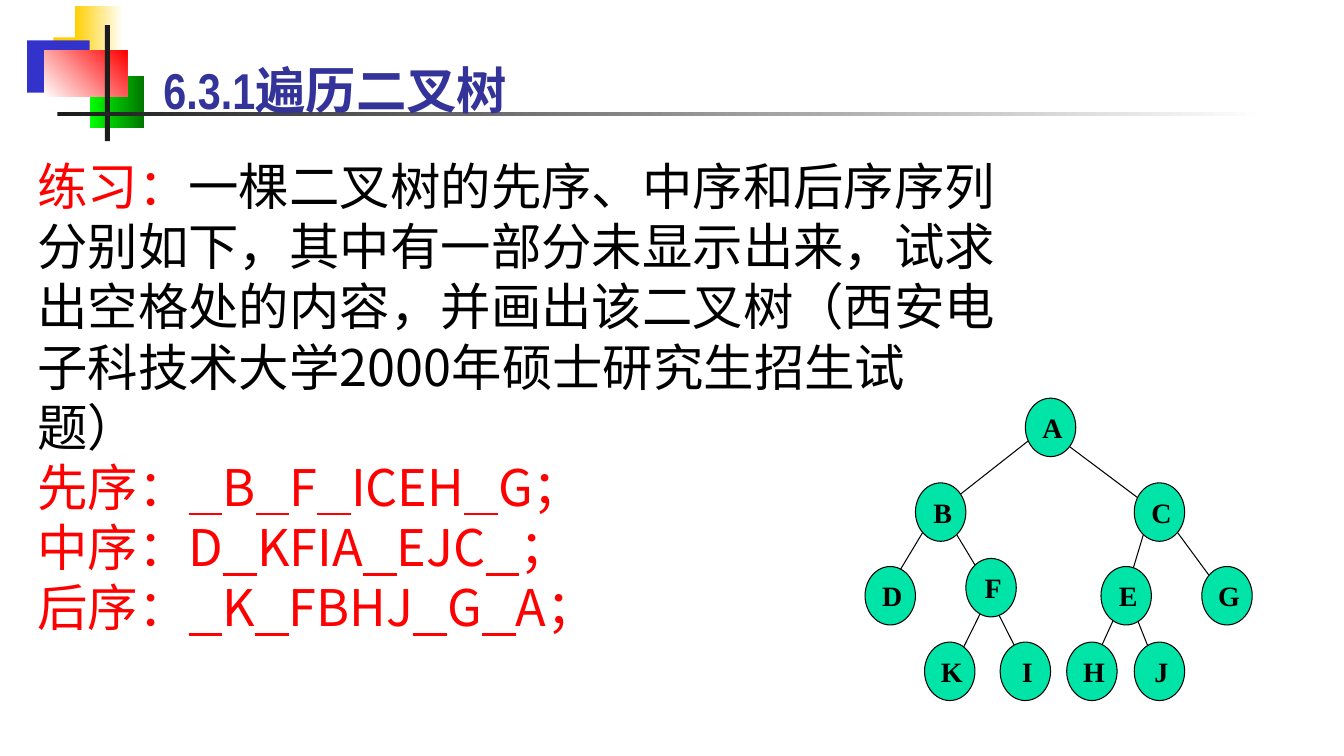
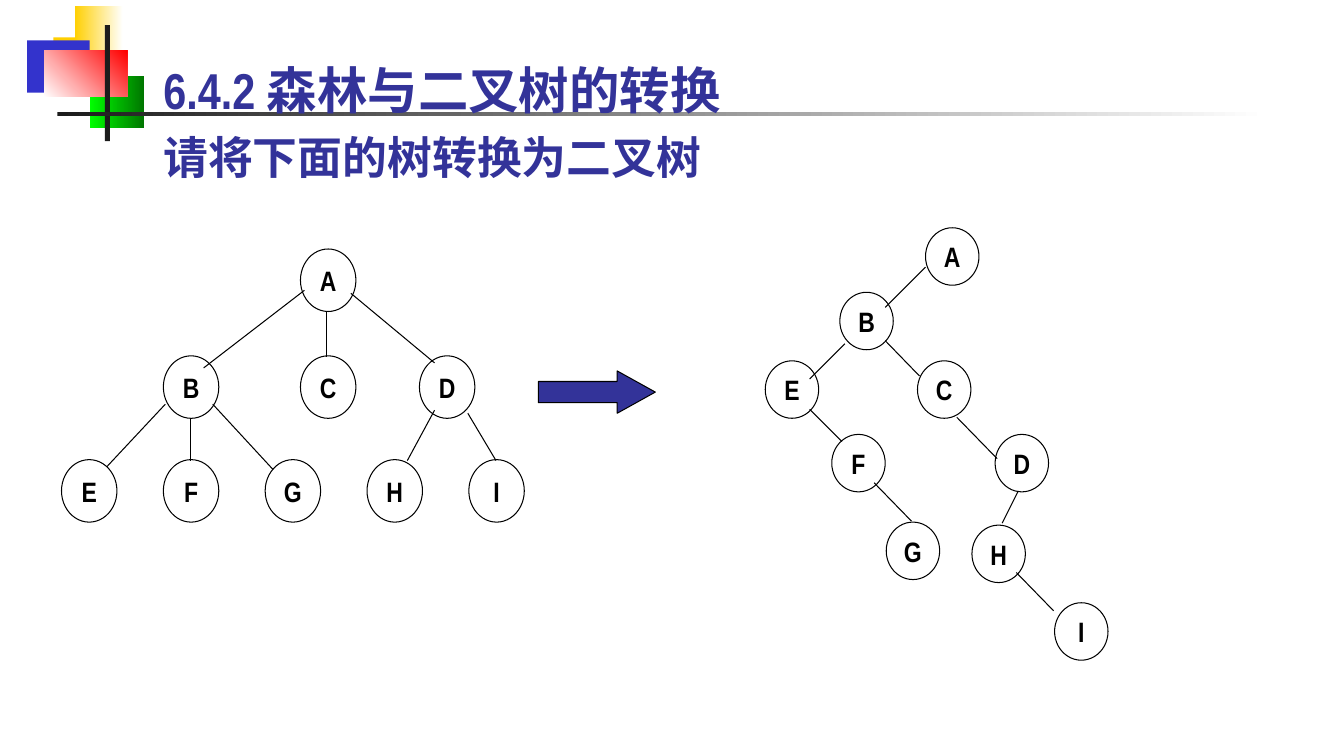
from dataclasses import dataclass

from lxml import etree
from pptx import Presentation
from pptx.dml.color import RGBColor
from pptx.enum.shapes import MSO_CONNECTOR, MSO_SHAPE
from pptx.enum.text import MSO_ANCHOR, MSO_AUTO_SIZE, PP_ALIGN
from pptx.oxml.ns import qn
from pptx.util import Inches, Pt

RECT, OVAL, ARROW = MSO_SHAPE.RECTANGLE, MSO_SHAPE.OVAL, MSO_SHAPE.RIGHT_ARROW
STRAIGHT = MSO_CONNECTOR.STRAIGHT
MIDDLE = MSO_ANCHOR.MIDDLE
LEFT, CENTER = PP_ALIGN.LEFT, PP_ALIGN.CENTER
FIXED = MSO_AUTO_SIZE.NONE


@dataclass(frozen=True)
class Theme:
    """Colours, fonts and type sizes of the deck."""
    ink: str = "000000"
    navy: str = "333399"
    red: str = "FF0000"
    mint: str = "00E4A8"
    white: str = "FFFFFF"
    gold: str = "FFCF01"
    blue: str = "3333CC"
    lime: str = "00FF00"
    green: str = "007600"
    coal: str = "1C1C1C"
    han: str = "Noto Sans CJK SC"
    sans: str = "Arial Narrow"
    serif: str = "Times New Roman"
    head: int = 36
    sub: int = 32
    label: int = 20
    pitch: int = 43
    hair: float = 0.75


LOOK = Theme()


def write(frame, lines, size, font, bold=False, align=LEFT, wrap=True,
          pitch=None):
    """Fill a frame with lines of (words, colour) parts; "_" marks a blank to fill in."""
    frame.auto_size = FIXED
    frame.word_wrap = wrap
    frame.vertical_anchor = MIDDLE
    for num, line in enumerate(lines):
        para = frame.add_paragraph() if num else frame.paragraphs[0]
        props = para._p.get_or_add_pPr()
        props.set("marL", "0")
        props.set("indent", "0")
        etree.SubElement(props, qn("a:buNone"))
        para.alignment = align
        para.space_before = Pt(0)
        if pitch:
            para.line_spacing = Pt(pitch)
        for words, color in line:
            for spot, piece in enumerate(words.replace("_", "|_|").split("|")):
                if not piece:
                    continue
                run = para.add_run()
                blank = spot % 2 == 1
                run.text = " " * 3 if blank else piece
                run.font.size = Pt(size)
                run.font.bold = bold
                run.font.underline = blank
                run.font.color.rgb = RGBColor.from_string(color)
                run.font.name = font
                east = etree.SubElement(run._r.get_or_add_rPr(), qn("a:ea"))
                east.set("typeface", LOOK.han)


class Deck:
    """Holds the style and the current slide."""

    def __init__(self, look):
        """Open an empty deck."""
        self.look = look
        self.show = Presentation()
        self.show.slide_width = Inches(13.33)
        self.show.slide_height = Inches(7.5)
        self.slide = None

    def page(self, title):
        """Add a slide with its title."""
        first = self.slide is None
        self.slide = self.show.slides.add_slide(self.show.slide_layouts[1])
        if first:
            self.band()
        head = self.slide.shapes.title
        self.place(head, 1.52, 0.53, 8.5, 0.72)
        write(head.text_frame, [[(title, self.look.navy)]], self.look.head,
              self.look.sans, bold=True)

    def place(self, item, left, top, width, height):
        """Move and size a placeholder."""
        item.left, item.top = Inches(left), Inches(top)
        item.width, item.height = Inches(width), Inches(height)

    def body(self, box, lines, size, **form):
        """Fill the body placeholder."""
        item = self.slide.placeholders[1]
        self.place(item, *box)
        write(item.text_frame, lines, size, self.look.han, **form)

    def edge(self, item, color):
        """Give a shape or connector a thin line."""
        item.line.color.rgb = RGBColor.from_string(color)
        item.line.width = Pt(self.look.hair)

    def shape(self, kind, box, fill=None, line=None, angle=0):
        """Draw a shape with no fill, a plain fill or a two-colour gradient."""
        item = self.slide.shapes.add_shape(kind, *map(Inches, box))
        item.shadow.inherit = False
        if fill is None:
            item.fill.background()
        elif isinstance(fill, tuple):
            item.fill.gradient()
            item.fill.gradient_angle = angle
            for stop, color in zip(item.fill.gradient_stops, fill):
                stop.color.rgb = RGBColor.from_string(color)
        else:
            item.fill.solid()
            item.fill.fore_color.rgb = RGBColor.from_string(fill)
        if line:
            self.edge(item, line)
        else:
            item.line.fill.background()
        return item

    def band(self):
        """Draw the shared colour blocks and rules on the master."""
        look = self.look
        parts = [
            ((0.53, 0.37, 0.64, 0.52), look.gold, 0),
            ((0.74, 0.06, 0.48, 0.52), (look.gold, look.white), 0),
            ((0.27, 0.4, 0.62, 0.52), look.blue, 0),
            ((0.89, 0.75, 0.54, 0.52), (look.lime, look.green), 0),
            ((0.44, 0.5, 0.82, 0.46), (look.white, look.red), 45),
            ((1.04, 0.25, 0.05, 1.15), look.coal, 0),
            ((0.57, 1.11, 12, 0.04), (look.coal, look.white), 0),
        ]
        tree = self.show.slide_master.shapes.element
        for num, (box, fill, angle) in enumerate(parts):
            item = self.shape(RECT, box, fill, angle=angle)
            item.element.nvSpPr.cNvPr.id = 100 + num
            tree.append(item.element)

    def line(self, start, end):
        """Draw a thin straight line."""
        item = self.slide.shapes.add_connector(
            STRAIGHT, *map(Inches, (*start, *end)))
        self.edge(item, self.look.ink)
        etree.SubElement(item.element.spPr, qn("a:effectLst"))

    def bend(self, *spots):
        """Draw a thin open line through several points."""
        first, *rest = [tuple(map(Inches, spot)) for spot in spots]
        pen = self.slide.shapes.build_freeform(*first)
        pen.add_line_segments(rest, close=False)
        item = pen.convert_to_shape()
        item.shadow.inherit = False
        item.fill.background()
        self.edge(item, self.look.ink)

    def nodes(self, spots, size, font, fill=None, shift=0):
        """Draw labelled ovals at their top left corners."""
        for name, spot in spots.items():
            item = self.shape(OVAL, (*spot, *size), fill, self.look.ink)
            frame = item.text_frame
            frame.margin_right = frame.margin_top = frame.margin_bottom = 0
            frame.margin_left = Inches(shift)
            write(frame, [[(name, self.look.ink)]], self.look.label, font,
                  bold=True, align=CENTER, wrap=False)


def drill(deck):
    """Build the exercise on traversal orders."""
    look = deck.look
    deck.page("6.3.1遍历二叉树")
    task = ("一棵二叉树的先序、中序和后序序列分别如下，其中有一部分未显示出来，"
            "试求出空格处的内容，并画出该二叉树（西安电子科技术大学2000年硕士研究生招生试题）")
    rows = ["先序：_B_F_ICEH_G；", "中序：D_KFIA_EJC_；", "后序：_K_FBHJ_G_A；"]
    lines = [[("练习：", look.red), (task, look.ink)]]
    lines += [[(row, look.red)] for row in rows]
    deck.body((0.27, 1.45, 9.75, 4.96), lines, look.head, pitch=look.pitch)
    deck.line((11.5, 5.04), (12.17, 5.95))
    deck.line((11.17, 5.87), (11.5, 6.7))
    deck.bend((10.42, 4.29), (11.42, 5.04), (11.17, 5.87), (10.83, 6.62))
    deck.line((9.75, 5.79), (10.17, 6.62))
    deck.bend((9.33, 5.04), (9.83, 5.87), (9.42, 6.7))
    deck.bend((10.42, 4.2), (9.25, 5.12), (8.75, 5.95))
    spots = {
        "A": (10.17, 3.95), "B": (9.08, 4.79), "C": (11.25, 4.79),
        "D": (8.58, 5.62), "F": (9.58, 5.54), "E": (10.92, 5.62),
        "G": (11.92, 5.62), "K": (9.17, 6.37), "I": (9.92, 6.37),
        "H": (10.58, 6.37), "J": (11.25, 6.37),
    }
    deck.nodes(spots, (0.5, 0.58), look.serif, look.mint, shift=0.04)


def change(deck):
    """Build the change from a tree to a binary tree."""
    look = deck.look
    deck.page("6.4.2 森林与二叉树的转换")
    deck.body((1.52, 1.23, 5.83, 0.64),
              [[("请将下面的树转换为二叉树", look.navy)]], look.sub, bold=True)
    tree = {"A": (2.98, 2.47), "B": (1.62, 3.53), "C": (2.98, 3.53),
            "D": (4.16, 3.53)}
    tree |= {name: (0.61 + 1.01 * num, 4.56) for num, name in enumerate("EFGHI")}
    deck.nodes(tree, (0.55, 0.62), look.sans)
    pair = {
        "A": (9.18, 2.26), "B": (8.33, 2.9), "C": (9.1, 3.58),
        "D": (9.87, 4.31), "E": (7.59, 3.58), "F": (8.25, 4.31),
        "G": (8.79, 5.18), "H": (9.64, 5.21), "I": (10.46, 5.98),
    }
    deck.nodes(pair, (0.53, 0.57), look.sans)
    edges = [
        ((3.24, 3.09), (3.24, 3.54)), ((3.02, 2.88), (2.02, 3.65)),
        ((3.48, 2.91), (4.31, 3.6)), ((1.89, 4.16), (1.89, 4.57)),
        ((1.64, 4.01), (1.06, 4.63)), ((2.11, 4.01), (2.71, 4.66)),
        ((4.31, 4.07), (4.04, 4.57)), ((4.64, 4.1), (4.92, 4.57)),
        ((9.18, 2.65), (8.78, 3.05)), ((8.38, 3.41), (8.03, 3.76)),
        ((8.03, 4.06), (8.35, 4.38)), ((8.67, 4.79), (9.04, 5.17)),
        ((8.78, 3.38), (9.12, 3.73)), ((9.49, 4.14), (9.89, 4.55)),
        ((10.1, 4.87), (9.94, 5.19)), ((10.08, 5.68), (10.45, 6.06)),
    ]
    for start, end in edges:
        deck.line(start, end)
    arrow = deck.shape(ARROW, (5.34, 3.68, 1.16, 0.42), look.navy, look.ink)
    arrow.adjustments[0], arrow.adjustments[1] = 0.5, 0.9


def main():
    """Build and save the deck."""
    deck = Deck(LOOK)
    drill(deck)
    change(deck)
    deck.show.save("out.pptx")


if __name__ == "__main__":
    main()
